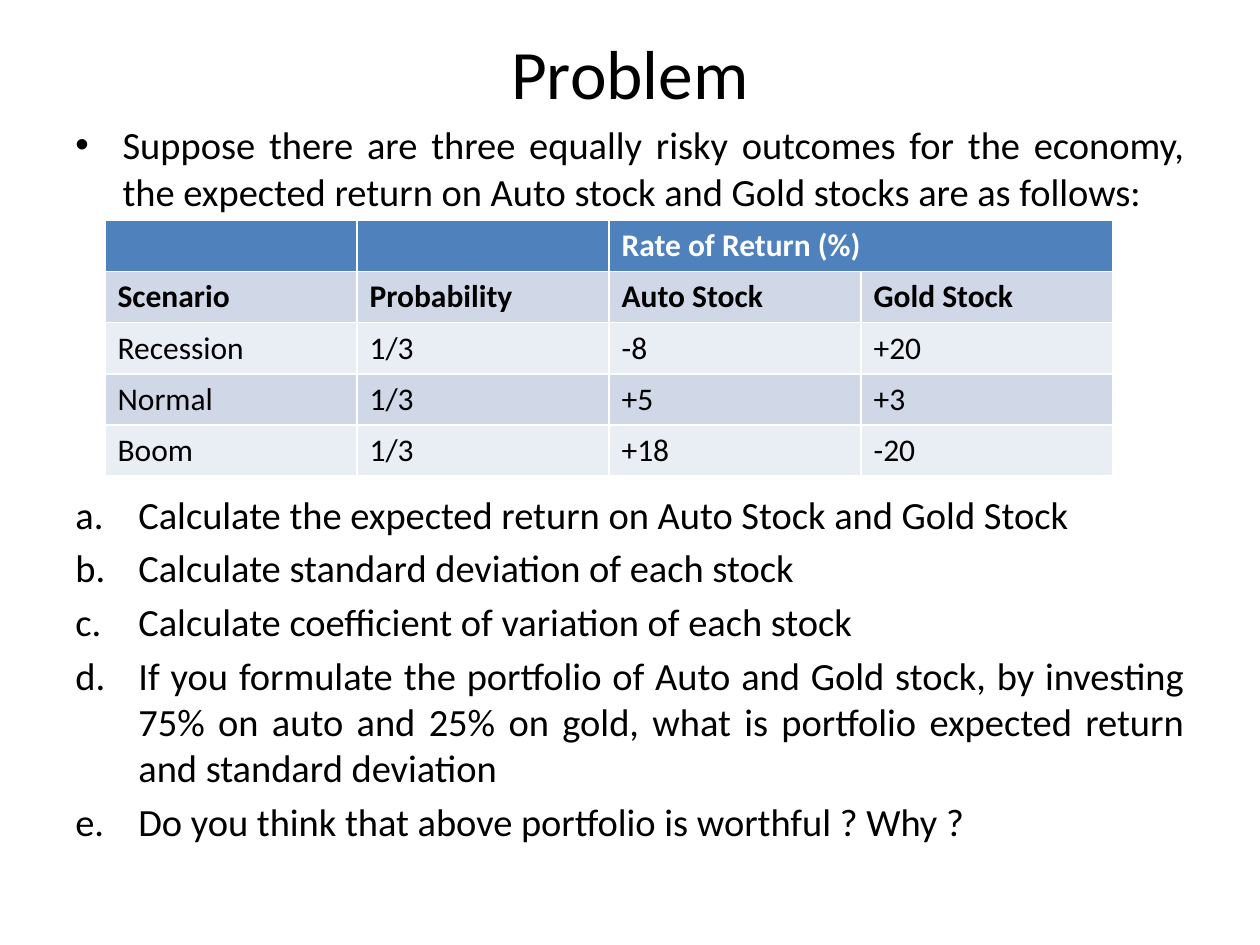
from dataclasses import dataclass

from lxml import etree
from pptx import Presentation
from pptx.dml.color import RGBColor
from pptx.enum import text as t
from pptx.oxml import ns
from pptx.util import Pt


@dataclass(frozen=True)
class Theme:
    font: str = "Calibri"
    ink: str = "000000"
    white: str = "FFFFFF"
    head: str = "4F81BD"
    bands: tuple = ("D0D8E8", "E9EDF4")
    title: float = 39.6
    body: float = 22
    cell: float = 18
    line: float = 26.3
    gap: float = 4.5


THEME = Theme()
INTRO = ("Suppose there are three equally risky outcomes for the economy, "
         "the expected return on Auto stock and Gold stocks are as follows:")
TASKS = [
    "Calculate the expected return on Auto Stock and Gold Stock",
    "Calculate standard deviation of each stock",
    "Calculate coefficient of variation of each stock",
    "If you formulate the portfolio of Auto and Gold stock, by investing 75% "
    "on auto and 25% on gold, what is portfolio expected return and standard "
    "deviation",
    "Do you think that above portfolio is worthful ? Why ?",
]
ROWS = [
    ("", "", "Rate of Return (%)", ""),
    ("Scenario", "Probability", "Auto Stock", "Gold Stock"),
    ("Recession", "1/3", "-8", "+20"),
    ("Normal", "1/3", "+5", "+3"),
    ("Boom", "1/3", "+18", "-20"),
]


def style(para, size, color=THEME.ink, bold=False):
    for run in para.runs:
        font = run.font
        font.name, font.size, font.bold = THEME.font, Pt(size), bold
        font.color.rgb = RGBColor.from_string(color)


def mark(para, indent, tag, **attrs):
    """Give a paragraph a hanging indent and a bullet or number."""
    props = para._p.get_or_add_pPr()
    props.set("marL", str(Pt(indent)))
    props.set("indent", str(-Pt(indent)))
    if tag == "a:buChar":
        etree.SubElement(props, ns.qn("a:buFont"), typeface="Arial")
    etree.SubElement(props, ns.qn(tag), **attrs)


def add_title(slide, box):
    title = slide.shapes.title
    title.left, title.top, title.width, title.height = map(Pt, box)
    frame = title.text_frame
    frame.text = "Problem"
    frame.vertical_anchor = t.MSO_ANCHOR.MIDDLE
    frame.auto_size = t.MSO_AUTO_SIZE.NONE
    frame.paragraphs[0].alignment = t.PP_ALIGN.CENTER
    style(frame.paragraphs[0], THEME.title)


def add_body(slide, box, room):
    """Place the intro and the tasks, leaving room between them."""
    frame = slide.shapes.add_textbox(*map(Pt, box)).text_frame
    frame.word_wrap = True
    frame.text = "\n".join([INTRO, *TASKS])
    for i, para in enumerate(frame.paragraphs):
        para.alignment = t.PP_ALIGN.JUSTIFY
        para.line_spacing = Pt(THEME.line)
        para.space_before = Pt((0, room)[i] if i < 2 else THEME.gap)
        if i == 0:
            mark(para, 27, "a:buChar", char="•")
        else:
            mark(para, 36, "a:buAutoNum", type="alphaLcPeriod")
        style(para, THEME.body)


def add_table(slide, box):
    # The default table style supplies the white cell borders
    table = slide.shapes.add_table(len(ROWS), len(ROWS[0]), *map(Pt, box)).table
    for r, row in enumerate(ROWS):
        fill = THEME.bands[(r - 1) % 2] if r else THEME.head
        color = THEME.ink if r else THEME.white
        for c, word in enumerate(row):
            cell = table.cell(r, c)
            cell.text = word
            cell.fill.solid()
            cell.fill.fore_color.rgb = RGBColor.from_string(fill)
            style(cell.text_frame.paragraphs[0], THEME.cell, color, r < 2)
    table.cell(0, 2).merge(table.cell(0, 3))


def main():
    deck = Presentation()
    deck.slide_width, deck.slide_height = Pt(720), Pt(540)
    slide = deck.slides.add_slide(deck.slide_layouts[5])
    add_title(slide, (36, 21.6, 648, 38.4))
    add_body(slide, (36, 66, 648, 438), room=158.3)
    add_table(slide, (60, 126, 576, 146))
    deck.save("out.pptx")


if __name__ == "__main__":
    main()
